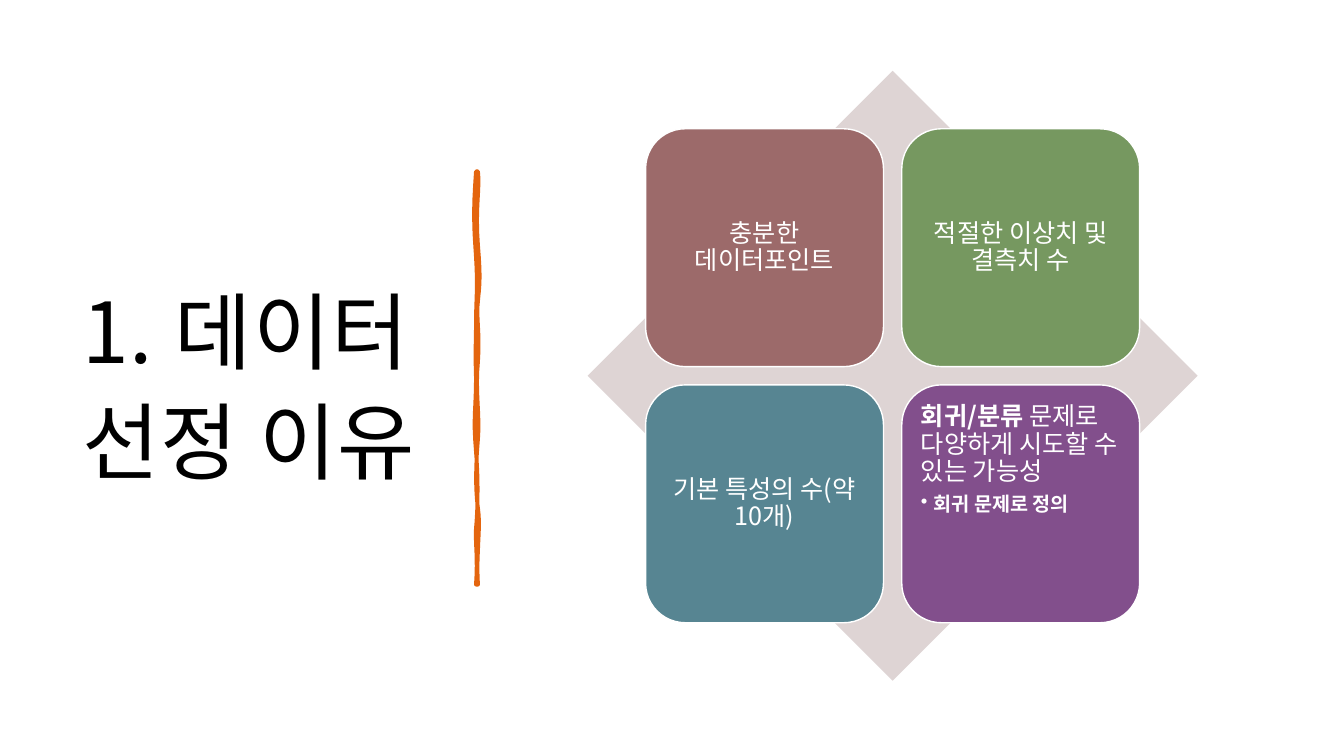
from lxml.etree import SubElement
from pptx import Presentation
from pptx.dml.color import RGBColor
from pptx.enum.shapes import MSO_SHAPE
from pptx.enum.text import MSO_ANCHOR, MSO_AUTO_SIZE, PP_ALIGN
from pptx.oxml.ns import qn
from pptx.util import Pt

FONT = "Noto Sans CJK KR"
BLACK = RGBColor(0x00, 0x00, 0x00)
WHITE = RGBColor(0xFF, 0xFF, 0xFF)
ORANGE = RGBColor(0xE4, 0x65, 0x0E)
PALE_ROSE = RGBColor(0xDE, 0xD4, 0xD4)
ROSE = RGBColor(0x9C, 0x6A, 0x6A)
GREEN = RGBColor(0x76, 0x98, 0x60)
TEAL = RGBColor(0x57, 0x85, 0x92)
PURPLE = RGBColor(0x82, 0x4F, 0x8C)

# Each reason: fill, alignment, anchor, heading as (text, bold) runs, bullets
REASONS = [
    (ROSE, PP_ALIGN.CENTER, MSO_ANCHOR.MIDDLE, [("충분한 데이터포인트", False)], []),
    (GREEN, PP_ALIGN.CENTER, MSO_ANCHOR.MIDDLE, [("적절한 이상치 및 결측치 수", False)], []),
    (TEAL, PP_ALIGN.CENTER, MSO_ANCHOR.MIDDLE, [("기본 특성의 수(약 10개)", False)], []),
    (PURPLE, PP_ALIGN.LEFT, MSO_ANCHOR.TOP,
     [("회귀/분류", True), (" 문제로 다양하게 시도할 수 있는 가능성", False)],
     ["회귀 문제로 정의"]),
]

# Bezier segments (control, control, end) in points from the stroke's top left
STROKE_RIGHT = [
    ((2.9, 11.5), (-0.7, 26.6), (1.4, 52.6)),
    ((3.6, 78.5), (2.2, 82.8), (1.4, 92.9)),
    ((0, 103), (2.9, 115.9), (1.4, 136.1)),
    ((-0.7, 156.2), (2.9, 175), (1.4, 191.5)),
    ((0, 207.4), (-0.7, 226.8), (1.4, 240.5)),
    ((3.6, 254.2), (0, 272.2), (1.4, 295.2)),
]
STROKE_LEFT = [
    ((1.4, 276.5), (-0.7, 263.5), (0, 254.9)),
    ((0.7, 247), (2.2, 225.4), (0, 200.2)),
    ((-2.2, 175), (0, 169.9), (0, 147.6)),
    ((-0.7, 126), (0, 123.1), (0, 107.3)),
    ((0, 92.2), (1.4, 82.8), (0, 61.2)),
    ((-1.4, 40.3), (-2.2, 30.2), (0, 0)),
]


def add_run(paragraph, text, size, color, bold=False):
    run = paragraph.add_run()
    run.text = text
    run.font.name = FONT
    run.font.size = Pt(size)
    run.font.bold = bold
    run.font.color.rgb = color
    SubElement(run.font._element, qn("a:ea"), typeface=FONT)
    return run


def set_frame(frame, anchor, insets):
    frame.word_wrap = True
    frame.auto_size = MSO_AUTO_SIZE.NONE
    frame.vertical_anchor = anchor
    (frame.margin_left, frame.margin_top,
     frame.margin_right, frame.margin_bottom) = map(Pt, insets)


def add_heading(slide, left, top, width, height):
    title = slide.shapes.title
    title.left, title.top = Pt(left), Pt(top)
    title.width, title.height = Pt(width), Pt(height)
    set_frame(title.text_frame, MSO_ANCHOR.MIDDLE, (9, 9, 9, 7.2))
    paragraph = title.text_frame.paragraphs[0]
    paragraph.alignment = PP_ALIGN.LEFT
    paragraph.line_spacing = 1.1
    run = add_run(paragraph, "1. 데이터 선정 이유", 60, BLACK)
    run.font._element.set("spc", "90")


def flatten(start, segments, steps=8):
    """Return points along a chain of cubic Bezier segments."""
    points = []
    for first, second, end in segments:
        for step in range(1, steps + 1):
            t = step / steps
            u = 1 - t
            points.append(tuple(
                u**3 * a + 3 * u * u * t * b + 3 * u * t * t * c + t**3 * d
                for a, b, c, d in zip(start, first, second, end)))
        start = end
    return points


def add_brush_stroke(slide, left, top):
    right_edge = flatten((1.4, 0), STROKE_RIGHT)
    left_edge = flatten((0, 295.2), STROKE_LEFT)
    outline = [(1.4, 0), *right_edge, (0, 295.2), *left_edge]
    points = [(Pt(left + x), Pt(top + y)) for x, y in outline]
    builder = slide.shapes.build_freeform(*points[0])
    builder.add_line_segments(points[1:], close=True)
    stroke = builder.convert_to_shape()
    stroke.shadow.inherit = False
    stroke.fill.solid()
    stroke.fill.fore_color.rgb = ORANGE
    stroke.line.color.rgb = ORANGE
    stroke.line.width = Pt(2.75)


def add_panel(slide, preset, left, top, size, fill):
    panel = slide.shapes.add_shape(preset, Pt(left), Pt(top), Pt(size), Pt(size))
    panel.shadow.inherit = False
    panel.fill.solid()
    panel.fill.fore_color.rgb = fill
    panel.line.fill.background()
    return panel


def add_bullet(frame, text):
    paragraph = frame.add_paragraph()
    paragraph.level = 1
    paragraph.alignment = PP_ALIGN.LEFT
    paragraph.line_spacing = 0.9
    paragraph.space_after = Pt(2)
    properties = paragraph._p.get_or_add_pPr()
    properties.set("marL", str(Pt(9)))
    properties.set("indent", str(-Pt(9)))
    SubElement(properties, qn("a:buChar"), char="•")
    add_run(paragraph, text, 14, WHITE, bold=True)


def add_reason(slide, left, top, size, reason):
    fill, alignment, anchor, heading, bullets = reason
    card = add_panel(slide, MSO_SHAPE.ROUNDED_RECTANGLE, left, top, size, fill)
    card.line.color.rgb = WHITE
    card.line.width = Pt(1)
    frame = card.text_frame
    set_frame(frame, anchor, (5.4, 5.4, 5.4, 5.4))
    paragraph = frame.paragraphs[0]
    paragraph.alignment = alignment
    paragraph.line_spacing = 0.9
    paragraph.space_after = Pt(6.3)
    for text, bold in heading:
        add_run(paragraph, text, 18, WHITE, bold)
    for text in bullets:
        add_bullet(frame, text)


def add_reason_matrix(slide, left, top, size):
    """Place four cards in a two by two grid over a diamond."""
    add_panel(slide, MSO_SHAPE.DIAMOND, left, top, size, PALE_ROSE)
    margin, pitch, side = 0.095 * size, 0.42 * size, 0.39 * size
    for index, reason in enumerate(REASONS):
        row, column = divmod(index, 2)
        add_reason(slide, left + margin + column * pitch,
                   top + margin + row * pitch, side, reason)


def main():
    deck = Presentation()
    deck.slide_width, deck.slide_height = Pt(960), Pt(540)
    slide = deck.slides.add_slide(deck.slide_layouts[5])
    add_heading(slide, 49.7, 50.4, 269.3, 440)
    add_brush_stroke(slide, 340, 122.4)
    add_reason_matrix(slide, 419.8, 50.6, 435.6)
    deck.save("out.pptx")


if __name__ == "__main__":
    main()
